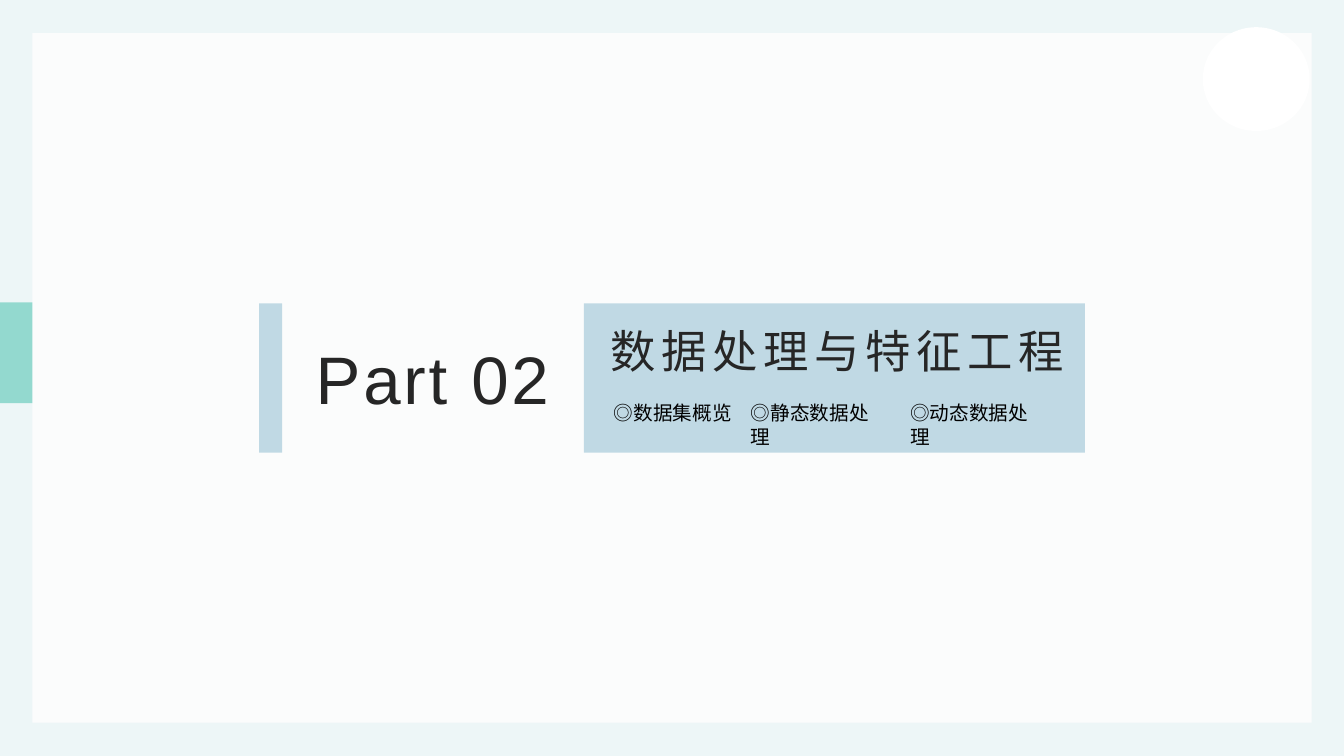
"""Build the section slide for Part 02."""
from lxml import etree
from pptx import Presentation
from pptx import util as u
from pptx.dml.color import RGBColor
from pptx.enum import shapes, text
from pptx.oxml.ns import qn

W, H = 13.33, 7.5
TOP, BAND = 3.01, 1.48
INK, TEAL, BLUE = "262626", "7DD2C6", "3989AD"
RECT, OVAL = shapes.MSO_SHAPE.RECTANGLE, shapes.MSO_SHAPE.OVAL
MID, LOW, HIGH = (text.MSO_ANCHOR.MIDDLE, text.MSO_ANCHOR.BOTTOM,
                  text.MSO_ANCHOR.TOP)

BLOCKS = [
    (RECT, (0.32, 0.33, 12.69, 6.84), "FBFCFC", 100),
    (RECT, (5.79, TOP, 4.97, BAND), BLUE, 30),
    (RECT, (2.57, TOP, 0.23, BAND), BLUE, 30),
    (OVAL, (11.93, 0.27, 1.06, 1.03), "FFFFFF", 100),
]
WING_START = (0, TOP)
WING_CURVES = [
    ((3.04, 3.01), (3.04, 3.01), (2.55, 3.24), (2.09, 3.75)),
    ((2.09, 3.75), (1.64, 4.26), (1.31, 4.38), (0.4, 4.49)),
]
WING_END = (0, TOP + BAND)
HEADINGS = [
    ("Part 02", (2.89, TOP, 2.8, BAND), MID, text.PP_ALIGN.CENTER, 48, 2),
    ("数据处理与特征工程", (5.96, TOP, 5.15, 0.79), LOW, text.PP_ALIGN.LEFT, 32.4, 4),
]
TOPICS = [
    ("◎数据集概览", 5.99, 1.39),
    ("◎静态数据处理", 7.35, 1.55),
    ("◎动态数据处理", 8.93, 1.55),
]
TOPIC_TOP, TOPIC_HEIGHT = 3.93, 0.34


def color(value):
    return RGBColor.from_string(value)


def paint(sp, value, opacity):
    sp.shadow.inherit = False
    sp.line.fill.background()
    sp.fill.solid()
    sp.fill.fore_color.rgb = color(value)
    if opacity < 100:
        srgb = sp.fill._xPr.find(".//" + qn("a:srgbClr"))
        etree.SubElement(srgb, qn("a:alpha")).set("val", str(opacity * 1000))


def bezier(points, steps=12):
    for i in range(steps + 1):
        t = i / steps
        weights = ((1 - t) ** 3, 3 * t * (1 - t) ** 2, 3 * t * t * (1 - t), t ** 3)
        yield tuple(sum(k * p[axis] for k, p in zip(weights, points))
                    for axis in (0, 1))


def add_wing(s, turned):
    outline = [WING_START, *(p for c in WING_CURVES for p in bezier(c)), WING_END]
    if turned:
        outline = [(W - x, H - y) for x, y in outline]
    builder = s.shapes.build_freeform(*outline[0], scale=u.Inches(1))
    builder.add_line_segments(outline[1:], close=True)
    paint(builder.convert_to_shape(), TEAL, 80)


def add_text(s, words, box, anchor, align, size, spacing=0, font="Arial", ink=INK):
    tf = s.shapes.add_textbox(*map(u.Inches, box)).text_frame
    tf.word_wrap, tf.vertical_anchor = True, anchor
    p = tf.paragraphs[0]
    p.alignment = align
    r = p.add_run()
    r.text = words
    for name, value in {"size": u.Pt(size), "name": font}.items():
        setattr(r.font, name, value)
    r.font.color.rgb = color(ink)
    props = r._r.get_or_add_rPr()
    etree.SubElement(props, qn("a:ea")).set("typeface", "Noto Sans CJK SC")
    if spacing:
        props.set("spc", str(spacing * 100))


def main():
    prs = Presentation()
    prs.slide_width, prs.slide_height = u.Inches(W), u.Inches(H)
    s = prs.slides.add_slide(prs.slide_layouts[6])
    s.background.fill.solid()
    s.background.fill.fore_color.rgb = color("EDF6F7")
    for turned in (True, False):
        add_wing(s, turned)
    for kind, box, value, opacity in BLOCKS:
        paint(s.shapes.add_shape(kind, *map(u.Inches, box)), value, opacity)
    for heading in HEADINGS:
        add_text(s, *heading)
    for words, left, width in TOPICS:
        add_text(s, words, (left, TOPIC_TOP, width, TOPIC_HEIGHT), HIGH,
                 text.PP_ALIGN.LEFT, 14, font="Noto Sans CJK SC", ink="000000")
    prs.save("out.pptx")


if __name__ == "__main__":
    main()
